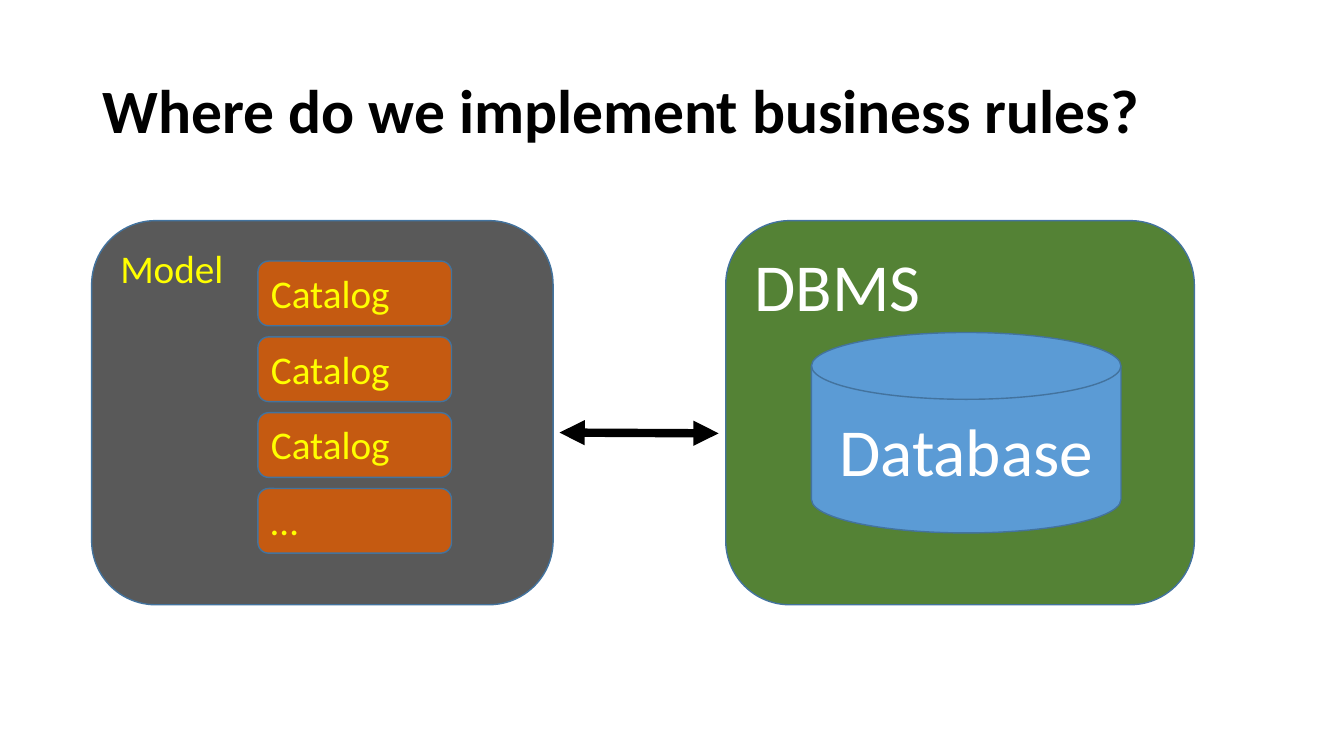
import pptx
import pptx.dml.color
import pptx.enum.shapes
import pptx.enum.text
import pptx.oxml
import pptx.oxml.xmlchemy
import pptx.util

Cm = pptx.util.Cm
Pt = pptx.util.Pt
RGBColor = pptx.dml.color.RGBColor
Shape = pptx.enum.shapes.MSO_SHAPE
Anchor = pptx.enum.text.MSO_ANCHOR
Align = pptx.enum.text.PP_ALIGN

BLACK = RGBColor(0x00, 0x00, 0x00)
WHITE = RGBColor(0xFF, 0xFF, 0xFF)
YELLOW = RGBColor(0xFF, 0xFF, 0x00)
GRAY = RGBColor(0x59, 0x59, 0x59)
GREEN = RGBColor(0x54, 0x82, 0x35)
BLUE = RGBColor(0x5B, 0x9B, 0xD5)
ORANGE = RGBColor(0xC5, 0x5A, 0x11)
OUTLINE = RGBColor(0x43, 0x73, 0x9E)

PANEL_TOP, PANEL_HEIGHT = 5.56, 9.68
CATALOG_TOP, CATALOG_PITCH = 6.58, 1.91


class DiagramSlide:
    """Holds the font and the slide; all lengths are in centimetres."""

    font_name = "Calibri"

    def __init__(self, slide):
        self.slide = slide

    def set_text(self, shape, text, size, color, bold=False,
                 anchor=Anchor.TOP, align=Align.LEFT):
        frame = shape.text_frame
        frame.word_wrap = True
        frame.vertical_anchor = anchor
        paragraph = frame.paragraphs[0]
        paragraph.text = text
        paragraph.alignment = align
        paragraph.font.name = self.font_name
        paragraph.font.size = Pt(size)
        paragraph.font.bold = bold
        paragraph.font.color.rgb = color
        return paragraph

    def title(self, text, left, top, width, height):
        box = self.slide.shapes.add_textbox(Cm(left), Cm(top), Cm(width), Cm(height))
        paragraph = self.set_text(box, text, 44, BLACK, bold=True, anchor=Anchor.MIDDLE)
        paragraph.line_spacing = 0.9

    def block(self, kind, text, left, top, width, height, fill, size, color, **layout):
        shape = self.slide.shapes.add_shape(kind, Cm(left), Cm(top), Cm(width), Cm(height))
        shape.shadow.inherit = False
        shape.fill.solid()
        shape.fill.fore_color.rgb = fill
        shape.line.color.rgb = OUTLINE
        shape.line.width = Pt(1)
        self.set_text(shape, text, size, color, **layout)

    def double_arrow(self, x1, y1, x2, y2):
        connector = self.slide.shapes.add_connector(
            pptx.enum.shapes.MSO_CONNECTOR.STRAIGHT, Cm(x1), Cm(y1), Cm(x2), Cm(y2))
        connector.line.color.rgb = BLACK
        connector.line.width = Pt(6)
        line = connector.line._get_or_add_ln()
        for end in ("a:headEnd", "a:tailEnd"):
            arrowhead = pptx.oxml.xmlchemy.OxmlElement(end)
            arrowhead.set("type", "triangle")
            line.append(arrowhead)
        connector._element.spPr.append(pptx.oxml.xmlchemy.OxmlElement("a:effectLst"))


def main():
    presentation = pptx.Presentation()
    presentation.slide_width = Cm(33.87)
    presentation.slide_height = Cm(19.05)
    diagram = DiagramSlide(presentation.slides.add_slide(presentation.slide_layouts[6]))

    diagram.title("Where do we implement business rules?", 2.34, 1.02, 29.21, 3.68)

    diagram.block(Shape.ROUNDED_RECTANGLE, "DBMS", 18.29, PANEL_TOP, 11.81, PANEL_HEIGHT,
                  GREEN, 48, WHITE)
    diagram.block(Shape.FLOWCHART_MAGNETIC_DISK, "Database", 20.45, 8.38, 7.8, 5.05,
                  BLUE, 48, WHITE, anchor=Anchor.MIDDLE, align=Align.CENTER)

    diagram.block(Shape.ROUNDED_RECTANGLE, "Model", 2.31, PANEL_TOP, 11.63, PANEL_HEIGHT,
                  GRAY, 28, YELLOW)
    for row, label in enumerate(["Catalog", "Catalog", "Catalog", "…"]):
        diagram.block(Shape.ROUNDED_RECTANGLE, label, 6.5, CATALOG_TOP + row * CATALOG_PITCH,
                      4.88, 1.63, ORANGE, 28, YELLOW)

    diagram.double_arrow(14.1, 10.9, 18.11, 10.92)

    presentation.save("out.pptx")


if __name__ == "__main__":
    main()
